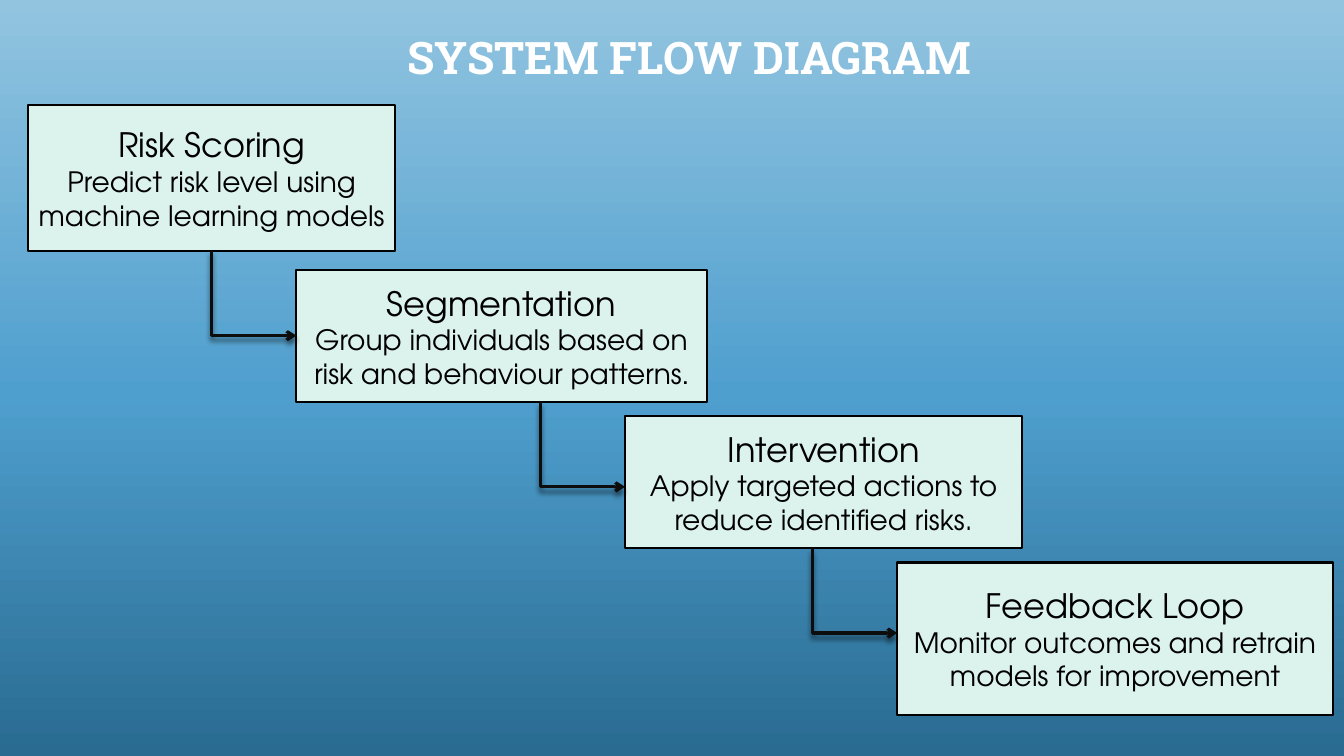
from copy import deepcopy

from pptx import Presentation
from pptx.dml.color import RGBColor
from pptx.enum.shapes import MSO_CONNECTOR, MSO_SHAPE
from pptx.enum.text import MSO_ANCHOR, PP_ALIGN
from pptx.oxml import parse_xml
from pptx.oxml.ns import nsdecls, qn
from pptx.util import Inches, Pt

TITLE = "SYSTEM FLOW DIAGRAM"
STEPS = [
    ("Risk Scoring", "Predict risk level using machine learning models", "",
     (0.28, 1.04, 3.64, 1.45)),
    ("Segmentation", "Group individuals based on risk and behaviour patterns", ".",
     (2.94, 2.68, 4.07, 1.31)),
    ("Intervention", "Apply targeted actions to reduce identified risks.", "",
     (6.2, 4.13, 3.94, 1.31)),
    ("Feedback Loop", "Monitor outcomes and retrain models for improvement", "",
     (8.9, 5.58, 4.32, 1.51)),
]
COLOURS = {"title": "FFFFFF", "text": "000000", "box": "DCF2ED",
           "outline": "000000", "arrow": "0D0D0D"}
BACKGROUND = [(0, "296B91"), (0.48, "4F9FCE"), (1, "92C4E0")]
TITLE_FONT, BODY_FONT = "Roboto Slab", "TeX Gyre Adventor"
ELBOW = 0.84


def colour(name):
    return RGBColor.from_string(COLOURS[name])


def style(span, font, size, colour_name, bold=False):
    span.font.name = font
    span.font.size = Pt(size)
    span.font.bold = bold
    span.font.color.rgb = colour(colour_name)


def paint_background(page):
    fill = page.background.fill
    fill.gradient()
    fill.gradient_angle = 90
    stop_list = page.element.find(".//" + qn("a:gsLst"))
    stop_list.insert(1, deepcopy(stop_list[0]))
    for stop, (position, value) in zip(fill.gradient_stops, BACKGROUND):
        stop.position = position
        stop.color.rgb = RGBColor.from_string(value)


def add_title(page):
    box = page.shapes.add_textbox(Inches(1.59), Inches(0.15), Inches(10.5), Inches(0.88))
    frame = box.text_frame
    frame.word_wrap = True
    frame.vertical_anchor = MSO_ANCHOR.MIDDLE
    frame.text = TITLE
    para = frame.paragraphs[0]
    para.alignment = PP_ALIGN.CENTER
    para.line_spacing = 0.9
    style(para.runs[0], TITLE_FONT, 32, "title", bold=True)


def add_step(page, heading, detail, ending, place):
    box = page.shapes.add_shape(MSO_SHAPE.RECTANGLE, *map(Inches, place))
    box.shadow.inherit = False
    box.fill.solid()
    box.fill.fore_color.rgb = colour("box")
    box.line.color.rgb = colour("outline")
    box.line.width = Pt(1.5)
    frame = box.text_frame
    frame.word_wrap = True
    frame.vertical_anchor = MSO_ANCHOR.MIDDLE
    frame.text = heading
    frame.add_paragraph().text = detail
    for para, size in zip(frame.paragraphs, (24, 20)):
        para.alignment = PP_ALIGN.CENTER
        style(para.runs[0], BODY_FONT, size, "text")
    if ending:
        span = frame.paragraphs[1].add_run()
        span.text = ending
        style(span, TITLE_FONT, 20, "text")


def add_elbow(page, place, next_place):
    right, top = next_place[0], place[1] + place[3]
    arrow = page.shapes.add_connector(
        MSO_CONNECTOR.ELBOW, Inches(right - ELBOW), Inches(top),
        Inches(right), Inches(top + ELBOW))
    arrow.line.color.rgb = colour("arrow")
    arrow.line.width = Pt(2.25)
    properties = arrow.element.spPr
    properties.find(qn("a:prstGeom")).set("prst", "bentConnector2")
    turn = properties.find(qn("a:xfrm"))
    turn.set("rot", "16200000")
    turn.set("flipH", "1")
    properties.find(qn("a:ln")).append(
        parse_xml(f'<a:tailEnd {nsdecls("a")} type="arrow"/>'))
    properties.append(parse_xml(
        f'<a:effectLst {nsdecls("a")}>'
        f'<a:outerShdw blurRad="{Pt(4)}" dist="{Pt(3)}" dir="5400000" rotWithShape="0">'
        '<a:srgbClr val="000000"><a:alpha val="54000"/></a:srgbClr>'
        '</a:outerShdw></a:effectLst>'))


def main():
    """Build the system flow slide."""
    deck = Presentation()
    deck.slide_width, deck.slide_height = Inches(13.33), Inches(7.5)
    page = deck.slides.add_slide(deck.slide_layouts[6])
    paint_background(page)
    add_title(page)
    for step in STEPS:
        add_step(page, *step)
    for step, following in zip(STEPS, STEPS[1:]):
        add_elbow(page, step[-1], following[-1])
    deck.save("out.pptx")


if __name__ == "__main__":
    main()
